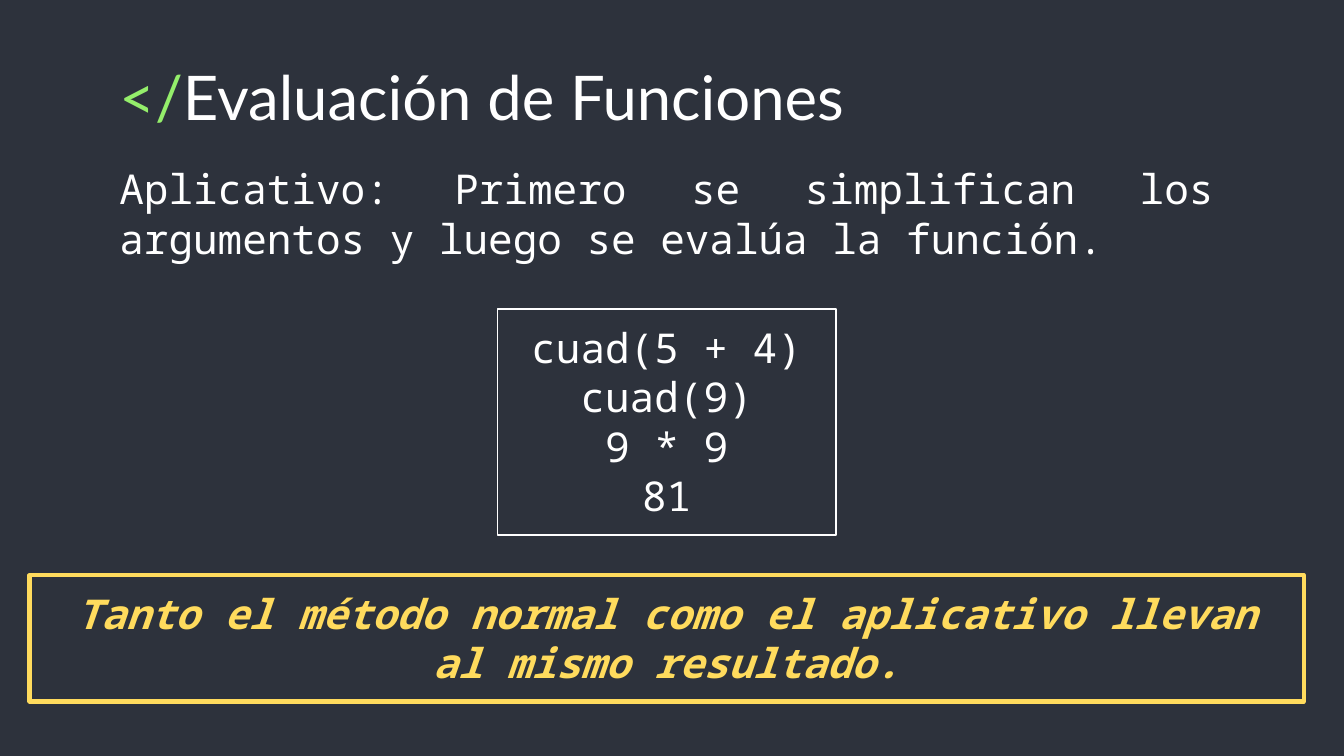
from pptx import Presentation
from pptx.dml.color import RGBColor
from pptx.enum.shapes import MSO_SHAPE
from pptx.enum.text import MSO_ANCHOR, MSO_AUTO_SIZE, PP_ALIGN
from pptx.util import Inches, Pt

RECT = MSO_SHAPE.RECTANGLE
TOP, MIDDLE = MSO_ANCHOR.TOP, MSO_ANCHOR.MIDDLE
LEFT, CENTER, JUSTIFY = PP_ALIGN.LEFT, PP_ALIGN.CENTER, PP_ALIGN.JUSTIFY
GROW = MSO_AUTO_SIZE.SHAPE_TO_FIT_TEXT

COLORS = {"bg": "2D323C", "text": "FFFFFF", "tag": "94EE6B", "note": "FFDB5D"}
TITLE_FONT, MONO_FONT = "Lato", "Noto Sans Mono"
TITLE_SIZE, TEXT_SIZE = 33, 22
WIDTH = 10
HEIGHT = WIDTH * 9 / 16
COLS = 100
CELL = WIDTH / COLS
INSET = Inches(0.1)


def color(name):
    """Return a palette colour."""
    return RGBColor.from_string(COLORS[name])


def place(box):
    """Turn a box in square grid cells into slide lengths."""
    return [Inches(n * CELL) for n in box]


def set_frame(tf, anchor):
    """Give a text frame its wrapping, insets and anchor."""
    tf.word_wrap = True
    tf.margin_left = tf.margin_right = tf.margin_top = tf.margin_bottom = INSET
    tf.vertical_anchor = anchor


def add_run(p, text, tint, font=MONO_FONT, size=TEXT_SIZE, strong=False):
    """Append one styled run to a paragraph."""
    r = p.add_run()
    r.text = text
    r.font.name, r.font.size = font, Pt(size)
    r.font.color.rgb = color(tint)
    if strong:
        r.font.bold = r.font.italic = True


def add_text(s, box, align):
    """Add a text box and return its first paragraph."""
    tf = s.shapes.add_textbox(*place(box)).text_frame
    set_frame(tf, TOP)
    p = tf.paragraphs[0]
    p.alignment = align
    return p


def add_title(s, box, tag, title):
    """Add the heading with its coloured tag."""
    p = add_text(s, box, LEFT)
    add_run(p, tag, "tag", TITLE_FONT, TITLE_SIZE)
    add_run(p, title, "text", TITLE_FONT, TITLE_SIZE)


def add_body(s, box, text):
    """Add the justified explanation."""
    p = add_text(s, box, JUSTIFY)
    p.space_after = Pt(10)
    add_run(p, text, "text")


def add_frame(s, box, lines, tint, weight, strong=False):
    """Add an outlined box of centred lines."""
    sp = s.shapes.add_shape(RECT, *place(box))
    sp.shadow.inherit = False
    sp.fill.background()
    sp.line.color.rgb = color(tint)
    sp.line.width = Pt(weight)
    tf = sp.text_frame
    set_frame(tf, TOP)
    tf.auto_size = GROW
    for i, line in enumerate(lines):
        p = tf.add_paragraph() if i else tf.paragraphs[0]
        p.alignment = CENTER
        add_run(p, line, tint, strong=strong)


def main():
    """Build and save the slide."""
    prs = Presentation()
    prs.slide_width, prs.slide_height = Inches(WIDTH), Inches(HEIGHT)
    s = prs.slides.add_slide(prs.slide_layouts[6])
    s.background.fill.solid()
    s.background.fill.fore_color.rgb = color("bg")
    add_title(s, (7.9, 3.4, 84.3, 6.3), "</", "Evaluación de Funciones")
    add_body(s, (7.9, 11.2, 83.4, 9.4),
             "Aplicativo: Primero se simplifican los argumentos y luego se evalúa la función.")
    add_frame(s, (37, 23, 25.2, 16.8),
              ["cuad(5 + 4)", "cuad(9)", "9 * 9", "81"], "text", 0.75)
    add_frame(s, (2.2, 42.8, 94.8, 9.4),
              ["Tanto el método normal como el aplicativo llevan al mismo resultado."],
              "note", 2.25, strong=True)
    prs.save("out.pptx")


if __name__ == "__main__":
    main()
